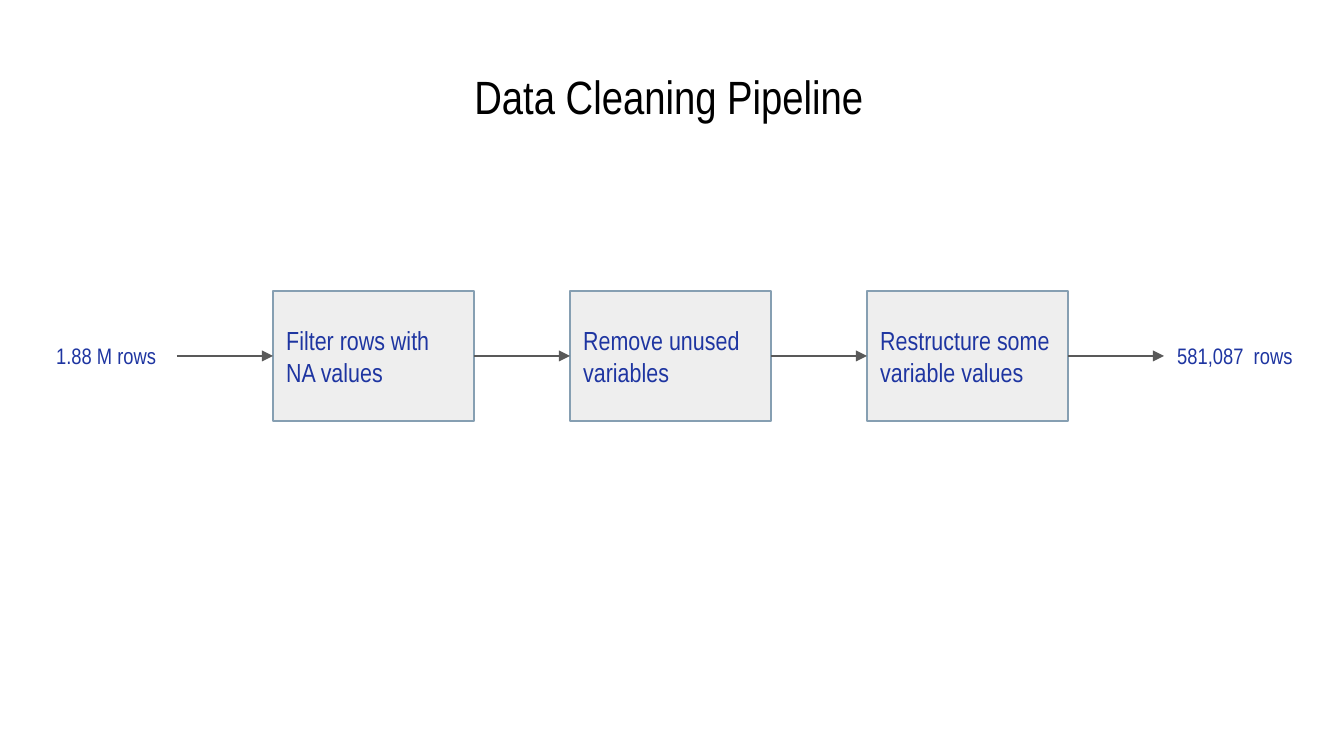
from lxml.etree import SubElement
from pptx import Presentation
from pptx.dml.color import RGBColor
from pptx.enum.shapes import MSO_CONNECTOR as Connector, MSO_SHAPE as Shape
from pptx.enum.text import MSO_ANCHOR as Anchor, MSO_AUTO_SIZE as AutoSize, PP_ALIGN as Align
from pptx.oxml.ns import qn
from pptx.util import Pt

# Content
TITLE = "Data Cleaning Pipeline "
INPUT, OUTPUT = "1.88 M rows", "581,087  rows"
STEPS = [
    "Filter rows with NA values",
    "Remove unused variables",
    "Restructure some variable values",
]

# Layout in px
SLIDE_WIDTH, SLIDE_HEIGHT = 1344, 756
TITLE_BOX = (71, 60, 1206, 71)
STEP_LEFT, STEP_TOP, STEP_WIDTH, STEP_HEIGHT = 273, 291, 201, 130
ARROW_LENGTH = 96
LABEL_TOP, LABEL_HEIGHT = 329, 54
INPUT_LEFT, INPUT_WIDTH, OUTPUT_WIDTH = 43, 134, 168
INSET = 13.44

# Style
FONT = "Arial Narrow"
BLACK, BLUE, GRAY, PALE, STEEL = "000000", "1E35A1", "595959", "EEEEEE", "869FB2"


def px(length):
    return round(length * 914400 / 134.4)


def color(value):
    return RGBColor.from_string(value)


def set_text(shape, text, size, text_color, align=Align.LEFT, **frame_format):
    frame = shape.text_frame
    margins = {f"margin_{side}": px(INSET) for side in ("left", "top", "right", "bottom")}
    settings = {"word_wrap": True, "auto_size": AutoSize.NONE, **margins, **frame_format}
    for name, value in settings.items():
        setattr(frame, name, value)
    paragraph = frame.paragraphs[0]
    paragraph.alignment = align
    run = paragraph.add_run()
    run.text = text
    for name, value in {"name": FONT, "size": Pt(size), "bold": False}.items():
        setattr(run.font, name, value)
    run.font.color.rgb = color(text_color)


def add_step(slide, left, text):
    box = (left, STEP_TOP, STEP_WIDTH, STEP_HEIGHT)
    shape = slide.shapes.add_shape(Shape.RECTANGLE, *map(px, box))
    shape.shadow.inherit = False
    shape.fill.solid()
    shape.fill.fore_color.rgb = color(PALE)
    shape.line.color.rgb = color(STEEL)
    shape.line.width = Pt(0.75)
    set_text(shape, text, 14, BLUE, vertical_anchor=Anchor.MIDDLE)
    return shape


def add_label(slide, left, width, text):
    box = (left, LABEL_TOP, width, LABEL_HEIGHT)
    label = slide.shapes.add_textbox(*map(px, box))
    set_text(label, text, 12, BLUE, auto_size=AutoSize.SHAPE_TO_FIT_TEXT)


def add_arrow(slide, left, source=None, target=None):
    middle = STEP_TOP + STEP_HEIGHT / 2
    ends = (left, middle, left + ARROW_LENGTH, middle)
    arrow = slide.shapes.add_connector(Connector.STRAIGHT, *map(px, ends))
    if source is not None:
        arrow.begin_connect(source, 3)
    if target is not None:
        arrow.end_connect(target, 1)
    arrow.line.color.rgb = color(GRAY)
    arrow.line.width = Pt(0.75)
    SubElement(arrow.line._get_or_add_ln(), qn("a:tailEnd"), type="triangle")
    SubElement(arrow._element.spPr, qn("a:effectLst"))


def main():
    presentation = Presentation()
    presentation.slide_width, presentation.slide_height = px(SLIDE_WIDTH), px(SLIDE_HEIGHT)
    slide = presentation.slides.add_slide(presentation.slide_layouts[5])

    # Title
    title = slide.shapes.title
    title.left, title.top, title.width, title.height = map(px, TITLE_BOX)
    set_text(title, TITLE, 25, BLACK, Align.CENTER, vertical_anchor=Anchor.MIDDLE)

    # Steps, evenly spaced by the arrow length
    pitch = STEP_WIDTH + ARROW_LENGTH
    steps = [add_step(slide, STEP_LEFT + i * pitch, text) for i, text in enumerate(STEPS)]

    # Arrows into, between and out of the steps
    for i, (source, target) in enumerate(zip([None, *steps], [*steps, None])):
        add_arrow(slide, STEP_LEFT - ARROW_LENGTH + i * pitch, source, target)

    # Row counts at both ends
    add_label(slide, INPUT_LEFT, INPUT_WIDTH, INPUT)
    add_label(slide, STEP_LEFT + len(STEPS) * pitch, OUTPUT_WIDTH, OUTPUT)

    presentation.save("out.pptx")


if __name__ == "__main__":
    main()
